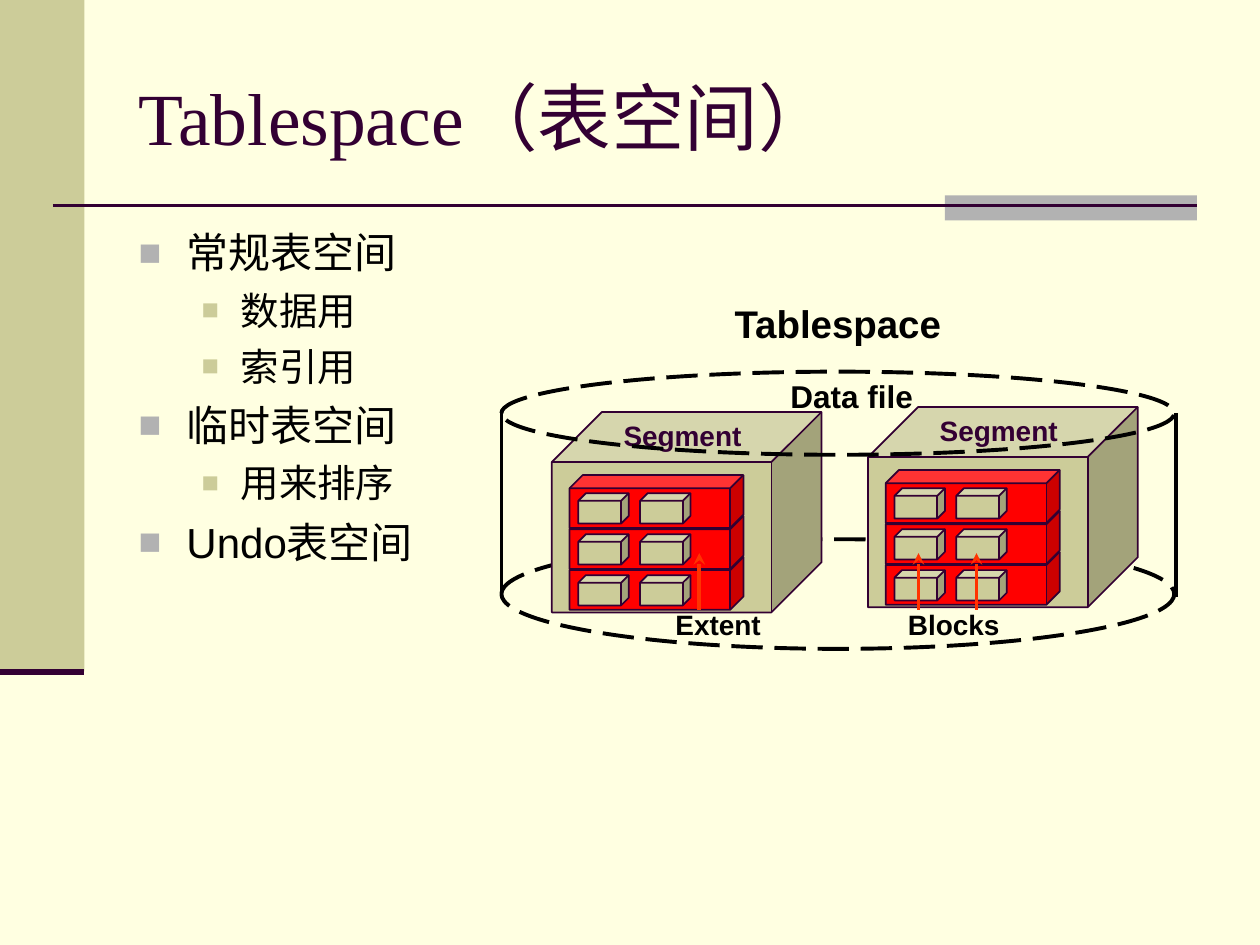
import pptx
import pptx.util
import pptx.dml.color
import pptx.enum.dml
import pptx.enum.shapes
import pptx.enum.text
from lxml import etree
from pptx.oxml.ns import qn
from pptx.util import Inches

COLORS = {
    "background": "FFFFE1", "khaki": "CCCC99", "gray": "B2B2B2",
    "plum": "330033", "black": "000000", "red": "FF0000", "arrow": "FF3300",
}
SHAPES = pptx.enum.shapes.MSO_SHAPE
LEFT = pptx.enum.text.PP_ALIGN.LEFT
CENTER = pptx.enum.text.PP_ALIGN.CENTER


def rgb(name):
    return pptx.dml.color.RGBColor.from_string(COLORS[name])


def write(paragraph, text, size, color="black", font="Arial", bold=False, align=LEFT):
    paragraph.text = text
    paragraph.alignment = align
    paragraph.font.size = pptx.util.Pt(size)
    paragraph.font.name = font
    paragraph.font.bold = bold
    paragraph.font.color.rgb = rgb(color)


prs = pptx.Presentation()
prs.slide_width, prs.slide_height = Inches(10), Inches(7.5)
slide = prs.slides.add_slide(prs.slide_layouts[1])
slide.background.fill.solid()
slide.background.fill.fore_color.rgb = rgb("background")

outlines = []  # (shape or connector, colour, width in points)

# Side band and title rule
for x, y, w, h, color in [(0, 0, 0.67, 5.33, "khaki"), (7.5, 1.55, 2, 0.2, "gray")]:
    band = slide.shapes.add_shape(SHAPES.RECTANGLE, Inches(x), Inches(y), Inches(w), Inches(h))
    band.shadow.inherit = False
    band.fill.solid()
    band.fill.fore_color.rgb = rgb(color)
    band.line.fill.background()

# Straight lines: x1, y1, x2, y2, colour, width, arrow at start
rules = [(0.42, 1.63, 9.5, 1.63, "plum", 1.5, False), (0, 5.33, 0.67, 5.33, "plum", 3.5, False)]
arrows = [(x, 4.39, x, 4.84, "arrow", 2.25, True) for x in (7.29, 7.75, 5.55)]
cylinder_sides = [(x, 3.28, x, 4.74, "black", 2.25, False) for x in (3.98, 9.33)]

# Title
title = slide.shapes.title
title.left, title.top, title.width, title.height = Inches(1), Inches(0.3), Inches(8.5), Inches(1.25)
title.text_frame.vertical_anchor = pptx.enum.text.MSO_ANCHOR.MIDDLE
write(title.text_frame.paragraphs[0], "Tablespace（表空间）", 42, color="plum", font="Times New Roman")

# Tablespace kinds
kinds = slide.placeholders[1]
kinds.left, kinds.top, kinds.width, kinds.height = Inches(1), Inches(1.75), Inches(3.06), Inches(4.95)
levels = [  # margin, indent, bullet colour, bullet size, text size, space before
    (0.38, -0.38, "gray", 90, 24, 6),
    (0.81, -0.31, "khaki", 75, 22, 5.5),
]
items = [(0, "常规表空间"), (1, "数据用"), (1, "索引用"),
         (0, "临时表空间"), (1, "用来排序"), (0, "Undo表空间")]
for i, (level, text) in enumerate(items):
    margin, indent, bullet_color, bullet_size, size, before = levels[level]
    item = kinds.text_frame.paragraphs[0] if i == 0 else kinds.text_frame.add_paragraph()
    item.level = level
    item.space_before = pptx.util.Pt(before if i else 0)
    props = item._p.get_or_add_pPr()
    props.set("marL", str(Inches(margin)))
    props.set("indent", str(Inches(indent)))
    bullet = etree.SubElement(props, qn("a:buClr"))
    etree.SubElement(bullet, qn("a:srgbClr"), val=COLORS[bullet_color])
    etree.SubElement(props, qn("a:buSzPct"), val=str(bullet_size * 1000))
    etree.SubElement(props, qn("a:buFont"), typeface="Arial")
    etree.SubElement(props, qn("a:buChar"), char="■")
    write(item, text, size)

# Diagram from back to front: shapes, labels and lines
ellipse_bottom = ("ellipse", 3.98, 4.28, 5.34, 0.87)
ellipse_top = ("ellipse", 3.98, 2.95, 5.34, 0.66)
parts = [("line", *rule) for rule in rules]
parts += [("label", 5.37, 2.33, 2.56, 0.47, "Tablespace", 22, "black", CENTER),
          ("label", 5.98, 2.94, 1.56, 0.4, "Data file", 18, "black", CENTER),
          ellipse_bottom]
for x, y in [(4.38, 3.27), (6.89, 3.23)]:
    parts.append(("cube", x, y, 2.14, 1.59, "khaki"))
    for row in (2, 1, 0):  # extents, lowest first
        parts.append(("cube", x + 0.14, y + 0.5 + 0.325 * row, 1.38, 0.42, "red"))
    for row in range(3):  # blocks
        for column in range(2):
            parts.append(("cube", x + 0.21 + 0.49 * column, y + 0.645 + 0.325 * row, 0.4, 0.24, "khaki"))
    parts.append(("label", x + 0.47, y, 1.22, 0.37, "Segment", 16, "plum", LEFT))
parts += [("label", 6.99, 4.77, 1.16, 0.37, "Blocks", 16, "black", CENTER),
          ("label", 5.07, 4.77, 1.26, 0.37, "Extent", 16, "black", CENTER)]
parts += [("line", *line) for line in arrows + cylinder_sides]
parts.append(ellipse_top)

for kind, *box, in parts:
    a, b, c, d = [Inches(value) for value in box[:4]]
    if kind == "label":
        text, size, color, align = box[4:]
        label = slide.shapes.add_textbox(a, b, c, d)
        label.text_frame.word_wrap = True
        write(label.text_frame.paragraphs[0], text, size, color=color, bold=True, align=align)
    elif kind == "line":
        color, width, has_arrow = box[4:]
        line = slide.shapes.add_connector(pptx.enum.shapes.MSO_CONNECTOR.STRAIGHT, a, b, c, d)
        line.line.color.rgb = rgb(color)
        line.line.width = pptx.util.Pt(width)
        if has_arrow:
            etree.SubElement(line.line._get_or_add_ln(), qn("a:headEnd"), type="stealth")
        etree.SubElement(line._element.spPr, qn("a:effectLst"))
    elif kind == "cube":
        cube = slide.shapes.add_shape(SHAPES.CUBE, a, b, c, d)
        cube.shadow.inherit = False
        cube.fill.solid()
        cube.fill.fore_color.rgb = rgb(box[4])
        cube.line.color.rgb = rgb("plum")
        cube.line.width = pptx.util.Pt(1)
    else:
        rim = slide.shapes.add_shape(SHAPES.OVAL, a, b, c, d)
        rim.shadow.inherit = False
        rim.fill.background()
        rim.line.color.rgb = rgb("black")
        rim.line.width = pptx.util.Pt(2.25)
        rim.line.dash_style = pptx.enum.dml.MSO_LINE.LONG_DASH

prs.save("out.pptx")
